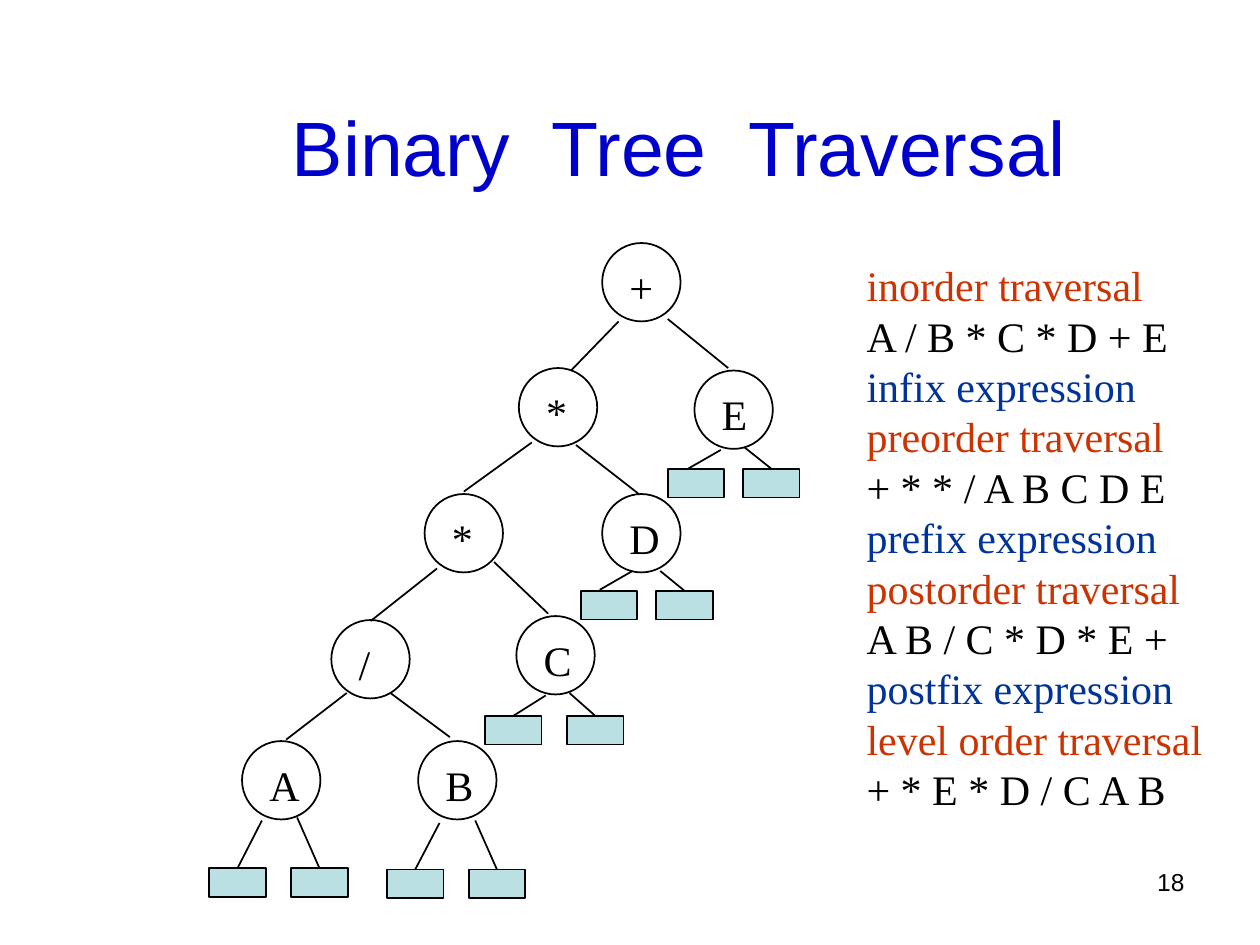
from typing import NamedTuple, Optional

from pptx import Presentation
from pptx.dml.color import RGBColor
from pptx.enum.shapes import MSO_CONNECTOR as Link, MSO_SHAPE as Shape
from pptx.enum.text import MSO_ANCHOR as Anchor, MSO_AUTO_SIZE as Fit, PP_ALIGN as Align
from pptx.oxml.ns import qn
from pptx.util import Cm, Pt
from lxml.etree import SubElement

BLACK = RGBColor(0x00, 0x00, 0x00)
TITLE = RGBColor(0x00, 0x00, 0xCC)
RED = RGBColor(0xCC, 0x33, 0x00)
NAVY = RGBColor(0x00, 0x33, 0x99)
TEAL = RGBColor(0xBB, 0xE0, 0xE3)

NODE = 1.58                   # circle diameter, cm
LEAF_W, LEAF_H = 1.14, 0.58   # empty subtree box, cm
Point = tuple[float, float]


class Node(NamedTuple):
    label: str
    x: float
    y: float


class Edge(NamedTuple):
    start: Point
    end: Point


class Pair(NamedTuple):
    """Two empty subtrees below a leaf node; `end` is a free left line end."""
    x: float
    y: float
    step: float
    left: Point
    right: Point
    end: Optional[Point] = None


NODES = [
    Node("+", 12.14, 4.9), Node("*", 10.46, 7.42), Node("E", 14, 7.47),
    Node("*", 8.56, 9.96), Node("D", 12.14, 9.96), Node("/", 6.68, 12.5),
    Node("C", 10.41, 12.42), Node("A", 4.88, 14.94), Node("B", 8.43, 14.94),
]
EDGES = [
    Edge((12.47, 6.48), (11.51, 7.47)), Edge((13.46, 6.43), (14.68, 7.42)),
    Edge((10.72, 8.92), (9.35, 9.91)), Edge((11.61, 8.97), (12.88, 9.96)),
    Edge((8.81, 11.46), (7.47, 12.52)), Edge((9.96, 11.33), (11.05, 12.37)),
    Edge((6.99, 13.97), (5.77, 14.91)), Edge((7.87, 13.97), (9.07, 14.86)),
]
PAIRS = [
    Pair(4.22, 17.5, 1.65, (5.28, 16.54), (5.99, 16.48)),
    Pair(7.8, 17.53, 1.65, (8.86, 16.59), (9.58, 16.54)),
    Pair(9.78, 14.43, 1.65, (11, 14.02), (11.48, 13.97)),
    Pair(11.71, 11.91, 1.52, (12.75, 11.51), (13.31, 11.51), (12.09, 11.89)),
    Pair(13.46, 9.45, 1.52, (14.53, 9.07), (15.01, 9.02), (13.87, 9.45)),
]
ORDERS = [
    ("inorder traversal", RED), ("A / B * C * D + E", BLACK),
    ("infix expression", NAVY),
    ("preorder traversal", RED), ("+ * * / A B C D E", BLACK),
    ("prefix expression", NAVY),
    ("postorder traversal", RED), ("A B / C * D * E +", BLACK),
    ("postfix expression", NAVY),
    ("level order traversal", RED), ("+ * E * D / C A B", BLACK),
]


def write(frame, *lines, font="Times New Roman", size=24, align=Align.LEFT,
          anchor=Anchor.TOP, wrap=False, lead=None) -> None:
    """Fill a text frame with (text, colour) lines."""
    frame.word_wrap = wrap
    frame.auto_size = Fit.NONE
    frame.vertical_anchor = anchor
    for i, (text, color) in enumerate(lines):
        para = frame.add_paragraph() if i else frame.paragraphs[0]
        para.alignment = align
        para.line_spacing = lead
        run = para.add_run()
        run.text = text
        run.font.name, run.font.size = font, Pt(size)
        run.font.color.rgb = color


def add_box(shapes, x: float, y: float, w: float, h: float, *lines, **style) -> None:
    box = shapes.add_textbox(Cm(x), Cm(y), Cm(w), Cm(h))
    write(box.text_frame, *lines, **style)


def add_form(shapes, kind, x: float, y: float, w: float, h: float, fill=None):
    form = shapes.add_shape(kind, Cm(x), Cm(y), Cm(w), Cm(h))
    form.shadow.inherit = False
    if fill is None:
        form.fill.background()
    else:
        form.fill.solid()
        form.fill.fore_color.rgb = fill
    form.line.color.rgb, form.line.width = BLACK, Pt(1)
    return form


def add_line(shapes, start: Point, end: Point):
    line = shapes.add_connector(Link.STRAIGHT, *map(Cm, start + end))
    line.line.color.rgb, line.line.width = BLACK, Pt(1)
    SubElement(line._element.spPr, qn("a:effectLst"))
    return line


def add_node(shapes, node: Node) -> None:
    add_form(shapes, Shape.OVAL, node.x, node.y, NODE, NODE)
    add_box(shapes, node.x + 0.3, node.y + 0.24, 1.1, 1.27,
            (node.label, BLACK), lead=Pt(28.8))


def add_pair(shapes, pair: Pair) -> None:
    for i, (start, free) in enumerate([(pair.left, pair.end), (pair.right, None)]):
        x = pair.x + i * pair.step
        leaf = add_form(shapes, Shape.RECTANGLE, x, pair.y, LEAF_W, LEAF_H, TEAL)
        line = add_line(shapes, start, free or (x + LEAF_W / 2, pair.y))
        if free is None:
            line.end_connect(leaf, 0)


def main() -> None:
    deck = Presentation()
    deck.slide_width, deck.slide_height = Cm(25.4), Cm(19.05)
    slide = deck.slides.add_slide(deck.slide_layouts[5])
    shapes = slide.shapes

    # Title
    title = shapes.title
    title.left, title.top = Cm(0.97), Cm(1.35)
    title.width, title.height = Cm(25.45), Cm(3.18)
    write(title.text_frame, ("Binary  Tree  Traversal", TITLE), font="Arial",
          size=44, align=Align.CENTER, anchor=Anchor.MIDDLE, wrap=True)

    # Expression tree
    for node in NODES:
        add_node(shapes, node)
    for edge in EDGES:
        add_line(shapes, edge.start, edge.end)
    for pair in PAIRS:
        add_pair(shapes, pair)

    # Traversal orders and page number
    add_box(shapes, 17.22, 5.11, 7.29, 11.43, *ORDERS, lead=Pt(28.8))
    add_box(shapes, 18.21, 17.35, 5.92, 1.32, ("18", BLACK), font="Arial",
            size=14, align=Align.RIGHT, wrap=True)

    deck.save("out.pptx")


if __name__ == "__main__":
    main()
